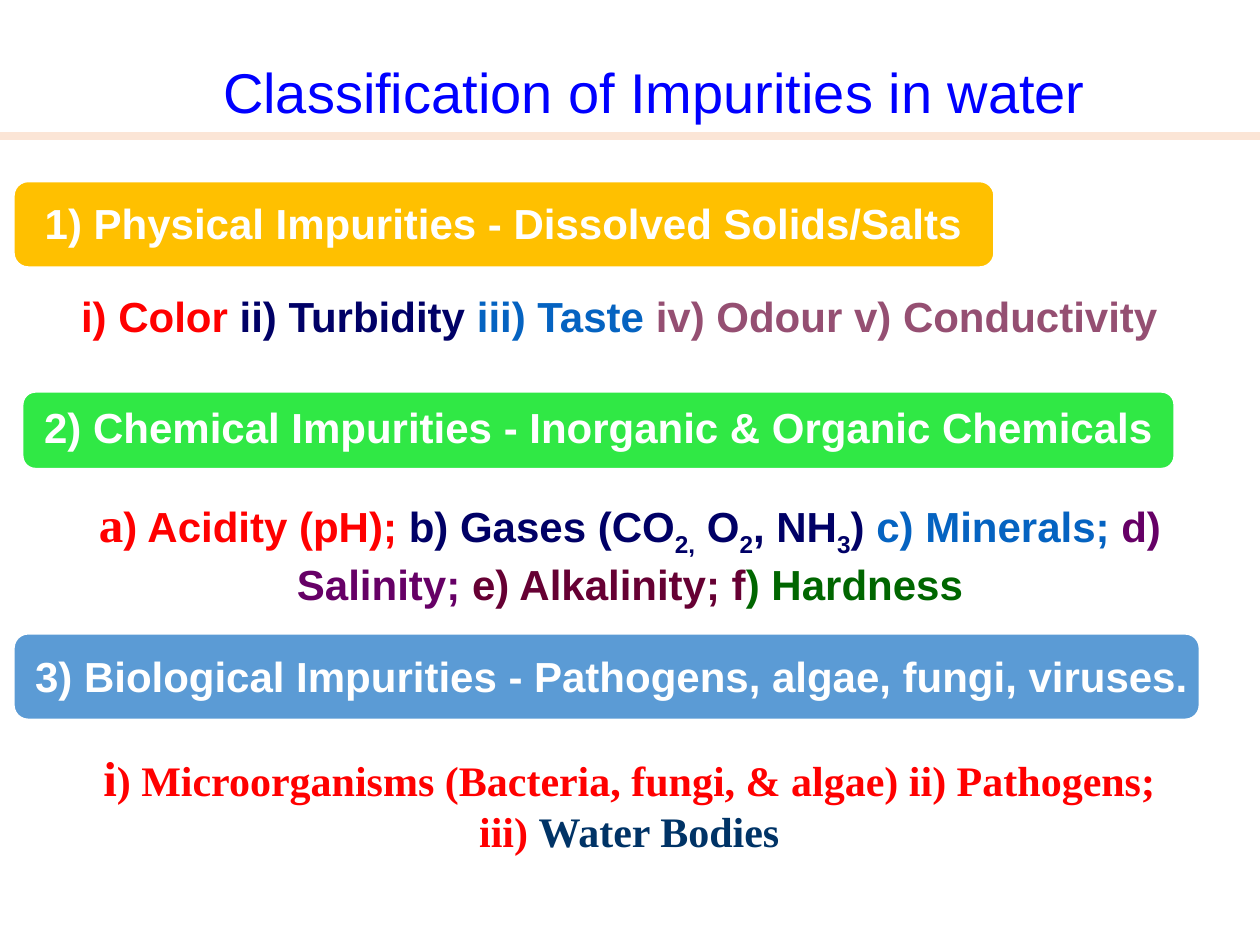
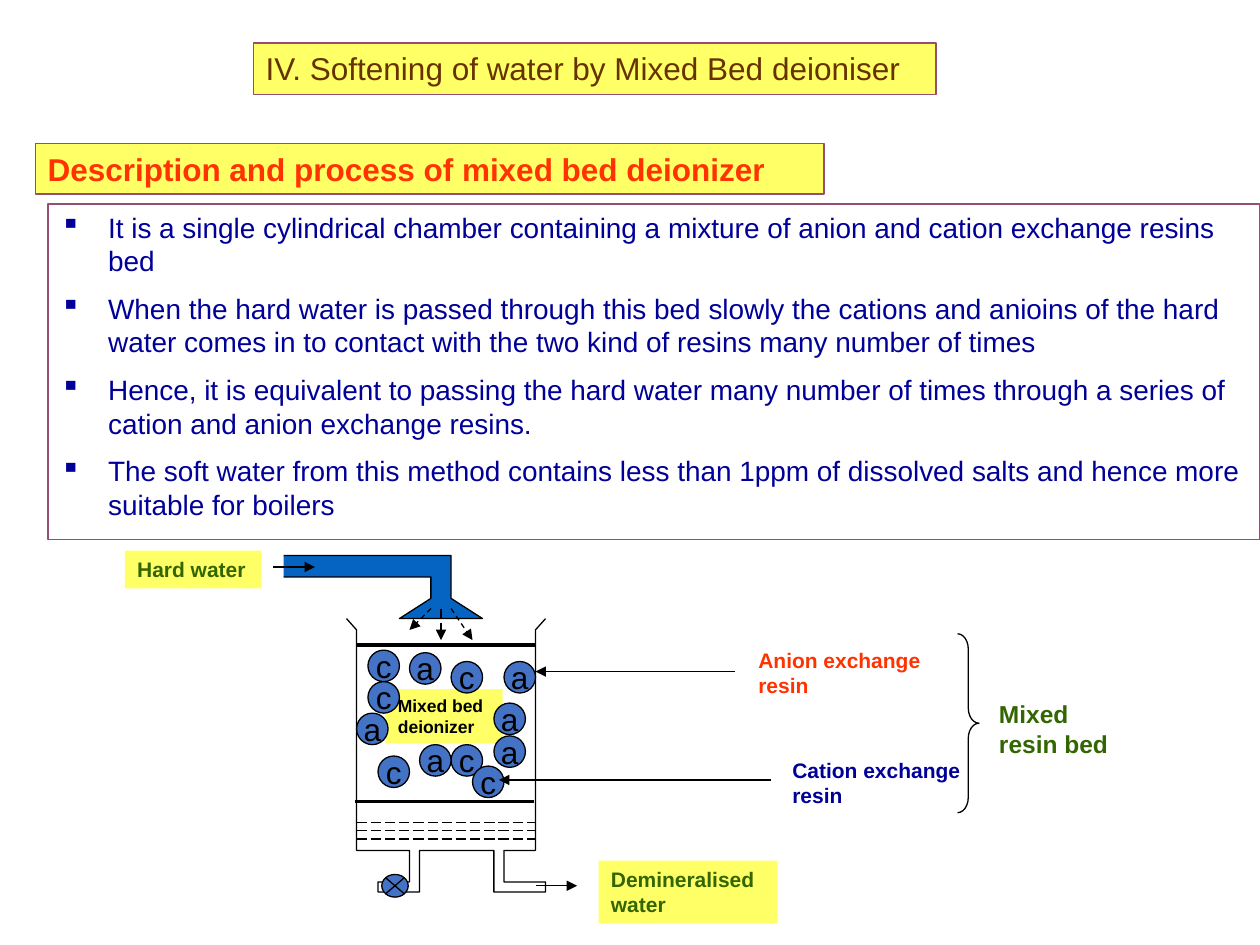
from pptx import Presentation
from pptx.dml.color import RGBColor
from pptx.enum.dml import MSO_LINE
from pptx.enum.shapes import MSO_CONNECTOR, MSO_SHAPE
from pptx.enum.text import MSO_ANCHOR, PP_ALIGN
from pptx.oxml.ns import qn
from pptx.util import Inches, Pt
from lxml import etree

WHITE = RGBColor(0xFF, 0xFF, 0xFF)
BLACK = RGBColor(0x00, 0x00, 0x00)
BLUE = RGBColor(0x00, 0x00, 0xFF)
PEACH = RGBColor(0xFB, 0xE5, 0xD6)
AMBER = RGBColor(0xFF, 0xC0, 0x00)
GREEN = RGBColor(0x30, 0xE8, 0x45)
SKY = RGBColor(0x5B, 0x9B, 0xD5)
RED = RGBColor(0xFF, 0x00, 0x00)
NAVY = RGBColor(0x00, 0x00, 0x66)
WATER_BLUE = RGBColor(0x05, 0x63, 0xC1)
MAUVE = RGBColor(0x95, 0x4F, 0x72)
PURPLE = RGBColor(0x66, 0x00, 0x66)
MAROON = RGBColor(0x66, 0x00, 0x33)
DARK_GREEN = RGBColor(0x00, 0x66, 0x00)
STEEL = RGBColor(0x00, 0x33, 0x66)
YELLOW = RGBColor(0xFF, 0xFF, 0x66)
BROWN = RGBColor(0x66, 0x33, 0x00)
ORANGE = RGBColor(0xFF, 0x33, 0x00)
INK = RGBColor(0x00, 0x00, 0x99)
OLIVE = RGBColor(0x33, 0x66, 0x00)
RESIN = RGBColor(0x44, 0x72, 0xC4)

SERIF = "Times New Roman"
CENTER = {"alignment": PP_ALIGN.CENTER}


def add_box(shapes, kind, place, spans=(), fill=None, line=None, line_width=0.75,
            frame_format=None, para_format=None):
    """Add a preset shape, or a text box if kind is None; spans are (text, size, colour, bold, font)."""
    left, top, width, height = map(Inches, place)
    if kind is None:
        box = shapes.add_textbox(left, top, width, height)
    else:
        box = shapes.add_shape(kind, left, top, width, height)
        box.shadow.inherit = False
        if fill is None:
            box.fill.background()
        else:
            box.fill.solid()
            box.fill.fore_color.rgb = fill
        if line is None:
            box.line.fill.background()
        else:
            box.line.color.rgb = line
            box.line.width = Pt(line_width)
    frame = {"word_wrap": True, "vertical_anchor": MSO_ANCHOR.TOP, **(frame_format or {})}
    for name, value in frame.items():
        setattr(box.text_frame, name, value)
    para = box.text_frame.paragraphs[0]
    for name, value in {"alignment": PP_ALIGN.LEFT, **(para_format or {})}.items():
        setattr(para, name, value)
    for text, size, colour, bold, font in spans:
        span = para.add_run()
        span.text = text
        for name, value in {"size": Pt(size), "bold": bold, "name": font}.items():
            setattr(span.font, name, value)
        span.font.color.rgb = colour
    return box


def add_line(page, start, end, colour=BLACK, width=0.75, dash=None, arrow=False):
    line = page.shapes.add_connector(
        MSO_CONNECTOR.STRAIGHT, *map(Inches, start), *map(Inches, end))
    line.line.color.rgb = colour
    line.line.width = Pt(width)
    if dash:
        line.line.dash_style = dash
    properties = line._element.spPr
    if arrow:
        etree.SubElement(properties.find(qn("a:ln")), qn("a:tailEnd"), type="triangle")
    etree.SubElement(properties, qn("a:effectLst"))


deck = Presentation()
deck.slide_width, deck.slide_height = Inches(10), Inches(7.5)
blank = deck.slide_layouts[6]

# Slide 1: classification of impurities
page = deck.slides.add_slide(blank)
add_box(page.shapes, None, (1.65, 0.44, 7.09, 0.64),
        [("Classification of Impurities in water", 32, BLUE, False, "Arial")],
        frame_format={"vertical_anchor": MSO_ANCHOR.MIDDLE},
        para_format={"line_spacing": 0.9, **CENTER})
add_line(page, (10, 1.08), (0, 1.08), PEACH, 4.5)

# Heading bars, each grouped with its text
margins = {f"margin_{side}": Inches(0.1) for side in ("left", "right", "top", "bottom")}
headings = [
    ("1) Physical Impurities - Dissolved Solids/Salts", AMBER,
     (0.11, 1.44, 7.78, 0.68), (0.14, 1.48, 7.71, 0.62), PP_ALIGN.CENTER),
    ("2) Chemical Impurities - Inorganic & Organic Chemicals", GREEN,
     (0.18, 3.11, 9.14, 0.61), (0.21, 3.14, 9.08, 0.55), PP_ALIGN.CENTER),
    ("3) Biological Impurities - Pathogens, algae, fungi, viruses.", SKY,
     (0.11, 5.03, 9.41, 0.68), (0.18, 5.07, 9.41, 0.64), PP_ALIGN.JUSTIFY),
]
for text, fill, bar_place, text_place, alignment in headings:
    group = page.shapes.add_group_shape()
    add_box(group.shapes, MSO_SHAPE.ROUNDED_RECTANGLE, bar_place,
            fill=fill, line=WHITE, line_width=1)
    add_box(group.shapes, None, text_place, [(text, 24, WHITE, True, "Arial")],
            frame_format={"vertical_anchor": MSO_ANCHOR.MIDDLE, **margins},
            para_format={"alignment": alignment, "line_spacing": 0.9})

# Examples under each heading
examples = [
    ((0, 2.26, 9.83, 0.5), [
        ("i) Color ", 24, RED, True, "Arial"),
        ("ii) Turbidity ", 24, NAVY, True, "Arial"),
        ("iii) Taste ", 24, WATER_BLUE, True, "Arial"),
        ("iv) Odour v) Conductivity", 24, MAUVE, True, "Arial")]),
    ((0.43, 3.87, 9.14, 0.98), [
        ("a", 28, RED, True, SERIF),
        (") Acidity (pH); ", 24, RED, True, "Arial"),
        *[(text, 24, NAVY, True, "Arial")
          for text in ("b) Gases (CO", "2,", " O", "2", ", NH", "3", ") ")],
        ("c) Minerals; ", 24, WATER_BLUE, True, "Arial"),
        ("d) Salinity; ", 24, PURPLE, True, "Arial"),
        ("e) Alkalinity; f", 24, MAROON, True, "Arial"),
        (") Hardness", 24, DARK_GREEN, True, "Arial")]),
    ((0.51, 5.88, 8.97, 0.98), [
        ("i", 28, RED, True, SERIF),
        (") Microorganisms (Bacteria, fungi, & algae) ii) Pathogens; iii) ", 24, RED, True, SERIF),
        ("Water Bodies", 24, STEEL, True, SERIF)]),
]
for place, spans in examples:
    box = add_box(page.shapes, None, place, spans, para_format=CENTER)
    for span in box.text_frame.paragraphs[0].runs:
        if span.text in ("2,", "2", "3"):
            span.font._element.set("baseline", "-25000")

# Slide 2: mixed bed deioniser
page = deck.slides.add_slide(blank)
titles = [
    ("IV. Softening of water by Mixed Bed deioniser", (2.01, 0.34, 5.42, 0.41), BROWN, False),
    ("Description and process of mixed bed deionizer", (0.28, 1.14, 6.26, 0.4), ORANGE, True),
]
for text, place, colour, bold in titles:
    add_box(page.shapes, MSO_SHAPE.RECTANGLE, place, [(text, 18, colour, bold, "Arial")],
            fill=YELLOW, line=MAUVE)

# Bulleted description
description = [
    "It is a single cylindrical chamber containing a mixture of anion and cation exchange "
    "resins bed",
    "When the hard water is passed through this bed slowly the cations and anioins of the hard "
    "water comes in to contact with the two kind of resins many number of times",
    "Hence, it is equivalent to passing the hard water many number of times through a series "
    "of cation and anion exchange resins.",
    "The soft water from this method contains less than 1ppm of dissolved salts and hence more "
    "suitable for boilers",
]
box = add_box(page.shapes, MSO_SHAPE.RECTANGLE, (0.38, 1.62, 9.62, 2.66), line=MAUVE)
for index, text in enumerate(description):
    para = box.text_frame.add_paragraph() if index else box.text_frame.paragraphs[0]
    properties = para._p.get_or_add_pPr()
    properties.set("marL", str(Inches(0.38)))
    properties.set("indent", str(-Inches(0.38)))
    etree.SubElement(properties, qn("a:buChar"), char="▪")
    para.alignment = PP_ALIGN.LEFT
    if index:
        para.space_before = Pt(8)
    span = para.add_run()
    span.text = text
    for name, value in {"size": Pt(16), "name": "Arial"}.items():
        setattr(span.font, name, value)
    span.font.color.rgb = INK

# Vessel with its outlets, and the inlet shower
vessel = [(2.75, 4.91), (2.83, 5), (2.83, 6.75), (3.25, 6.75), (3.25, 7), (3, 7), (3, 7.08),
          (3.33, 7.08), (3.33, 6.75), (3.92, 6.75), (3.92, 7.08), (4.33, 7.08), (4.33, 7),
          (4, 7), (4, 6.75), (4.25, 6.75), (4.25, 5), (4.33, 4.91)]
shower = [(2.25, 4.58), (3.42, 4.58), (3.42, 4.75), (3.17, 4.91), (3.83, 4.91),
          (3.58, 4.75), (3.58, 4.41), (2.25, 4.41)]
for points, fill in ((vessel, None), (shower, WATER_BLUE)):
    corners = [(Inches(x), Inches(y)) for x, y in points]
    builder = page.shapes.build_freeform(*corners[0], scale=1.0)
    builder.add_line_segments(corners[1:], close=False)
    outline = builder.convert_to_shape()
    outline.shadow.inherit = False
    if fill is None:
        outline.fill.background()
    else:
        outline.fill.solid()
        outline.fill.fore_color.rgb = fill
    outline.line.color.rgb = BLACK
    outline.line.width = Pt(0.75)

# Bed limits, water level and outlet valve
add_line(page, (2.83, 5.12), (4.25, 5.12), width=2)
add_line(page, (2.82, 6.36), (4.24, 6.36), width=2)
for level in (6.53, 6.59, 6.66):
    add_line(page, (2.83, level), (4.25, level), dash=MSO_LINE.LONG_DASH)
add_box(page.shapes, MSO_SHAPE.FLOWCHART_SUMMING_JUNCTION, (3.03, 6.94, 0.21, 0.18),
        fill=RESIN, line=BLACK)

# Labels
labels = [
    ("Mixed bed deionizer", (3.06, 5.47, 0.93, 0.43), 10, BLACK, YELLOW),
    ("Hard water", (0.99, 4.37, 1.08, 0.3), 12, OLIVE, YELLOW),
    ("Demineralised water", (4.75, 6.83, 1.42, 0.5), 12, OLIVE, YELLOW),
    ("Anion exchange resin", (5.92, 5.09, 1.58, 0.5), 12, ORANGE, None),
    ("Cation exchange resin", (6.19, 5.96, 1.58, 0.5), 12, INK, None),
    ("Mixed resin bed", (7.83, 5.5, 1.25, 0.57), 14, OLIVE, None),
]
for text, place, size, colour, fill in labels:
    add_box(page.shapes, MSO_SHAPE.RECTANGLE if fill else None, place,
            [(text, size, colour, True, "Arial")], fill=fill)

# Cation (c) and anion (a) resin beads
beads = {
    "c": [(2.92, 5.16), (2.92, 5.41), (3.58, 5.25), (3, 6), (3.58, 5.91), (3.75, 6.08)],
    "a": [(3.25, 5.18), (3.92, 5.58), (3.33, 5.91), (2.83, 5.66), (3.92, 5.84), (4, 5.25)],
}
for letter, corners in beads.items():
    for left, top in corners:
        add_box(page.shapes, MSO_SHAPE.OVAL, (left, top, 0.25, 0.25),
                [(letter, 18, BLACK, False, "Arial")], fill=RESIN, line=BLACK,
                frame_format={"word_wrap": False, "vertical_anchor": MSO_ANCHOR.MIDDLE},
                para_format=CENTER)

# Flow and pointer arrows
arrows = [
    ((2.17, 4.5), (2.5, 4.5), None),
    ((4.25, 7.03), (4.58, 7.03), None),
    ((5.83, 5.33), (4.25, 5.33), None),
    ((6.12, 6.19), (3.96, 6.19), None),
    ((3.42, 4.83), (3.25, 5), MSO_LINE.DASH),
    ((3.58, 4.83), (3.75, 5.08), MSO_LINE.DASH),
    ((3.5, 4.83), (3.5, 5.08), MSO_LINE.LONG_DASH),
]
for start, end, dash in arrows:
    add_line(page, start, end, dash=dash, arrow=True)

# Brace joining the two resins
brace = add_box(page.shapes, MSO_SHAPE.RIGHT_BRACE, (7.6, 5.03, 0.17, 1.42), line=BLACK)
brace.adjustments[0] = 0.71

deck.save("out.pptx")
